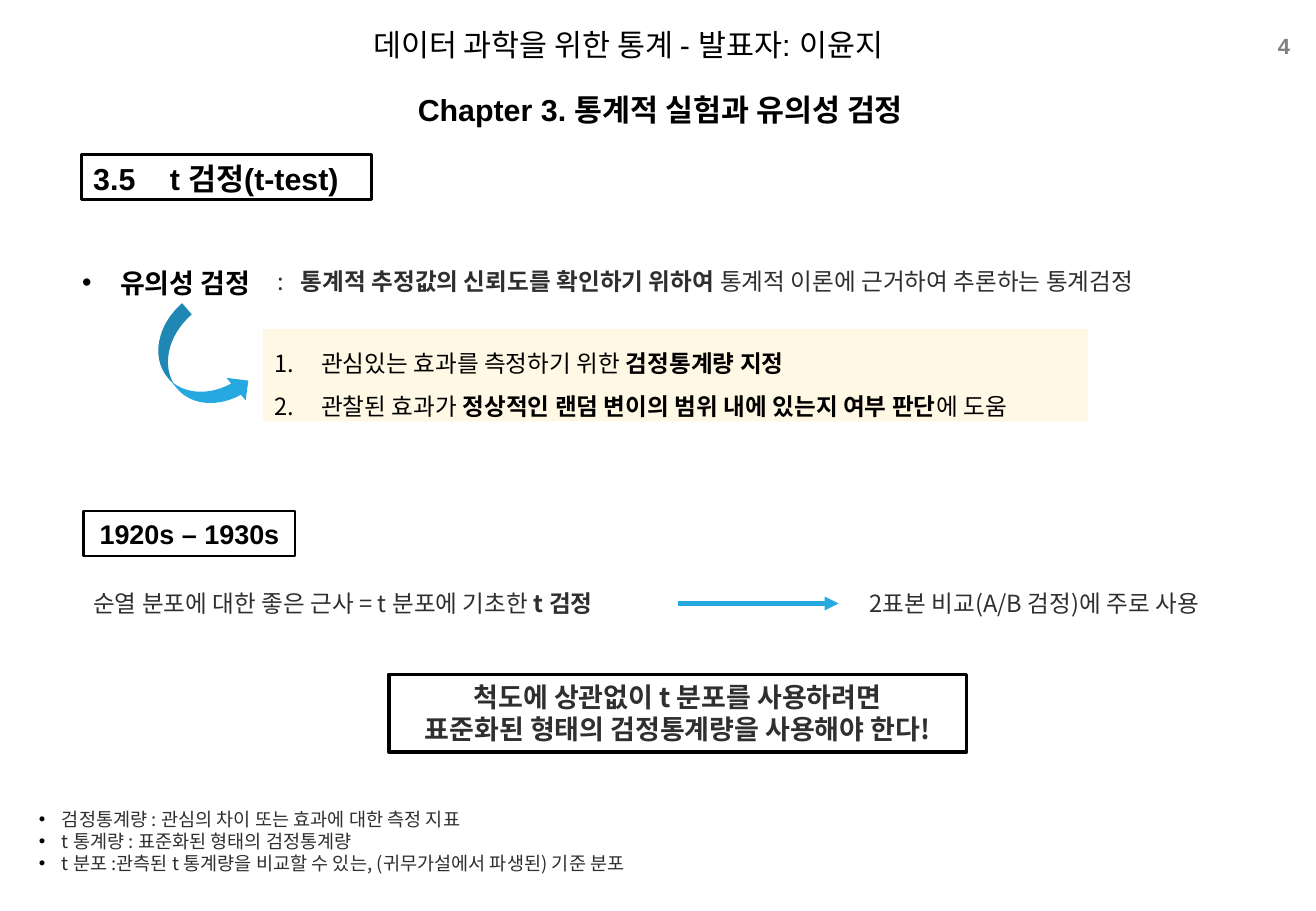
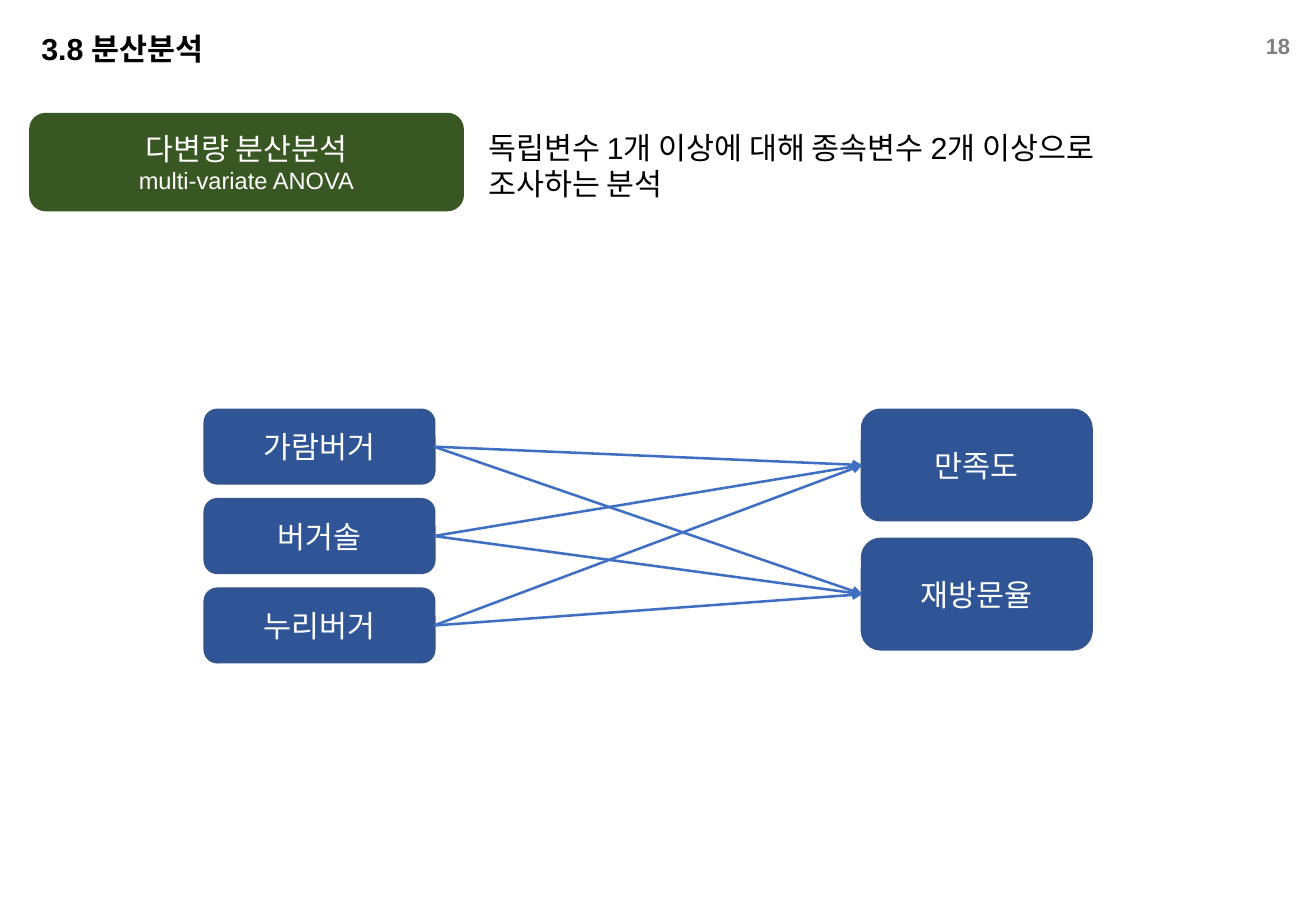
"""Build two statistics slides: the t-test and multivariate ANOVA."""
import itertools
import typing

import pptx
import pptx.dml.color
import pptx.enum.shapes
import pptx.enum.text
import pptx.oxml.ns
import pptx.util
from lxml import etree

Cm = pptx.util.Cm
Pt = pptx.util.Pt
SHAPE = pptx.enum.shapes.MSO_SHAPE
ALIGN = pptx.enum.text.PP_ALIGN
ANCHOR = pptx.enum.text.MSO_ANCHOR
qn = pptx.oxml.ns.qn

COLORS = {
    "black": "000000", "white": "FFFFFF", "ink": "2F2F2F", "page": "7F7F7F",
    "cream": "FFF2CC", "sky": "26A9E0", "node": "2F5597",
    "node_line": "325491", "link": "3F6FC3", "green": "385723",
}
ARIAL = "Arial"
NOTO = "Noto Sans CJK KR"


class Box(typing.NamedTuple):
    """A rectangle in centimetres."""
    left: float
    top: float
    width: float
    height: float

    def inner(self, dx, dy, width, height):
        """Return a box offset from this one's corner."""
        return Box(self.left + dx, self.top + dy, width, height)

    def lengths(self):
        """Return the four lengths for python-pptx."""
        return [Cm(value) for value in self]


def rgb(name):
    """Look up a palette colour."""
    return pptx.dml.color.RGBColor.from_string(COLORS[name])


def add_ppr(paragraph, tag, **attributes):
    """Append one element to the paragraph properties."""
    return etree.SubElement(paragraph._p.get_or_add_pPr(), qn(tag), **attributes)


def set_bullet(paragraph, bullet, indent):
    """Give a paragraph a hanging bullet, or a number if bullet is '1.'."""
    properties = paragraph._p.get_or_add_pPr()
    properties.set("marL", str(Cm(indent)))
    properties.set("indent", str(-Cm(indent)))
    color = add_ppr(paragraph, "a:buClr")
    etree.SubElement(color, qn("a:srgbClr"), val=COLORS["black"])
    add_ppr(paragraph, "a:buFont", typeface=ARIAL)
    if bullet == "1.":
        add_ppr(paragraph, "a:buAutoNum", type="arabicPeriod")
    else:
        add_ppr(paragraph, "a:buChar", char=bullet)


def write(shape, lines, sizes, font=ARIAL, color="black", bold=False,
          align=ALIGN.LEFT, anchor=ANCHOR.TOP, bullet=None, indent=0,
          tab=None, spacing=None):
    """Fill a shape with lines, where **marks** enclose bold words."""
    frame = shape.text_frame
    frame.word_wrap = True
    frame.auto_size = pptx.enum.text.MSO_AUTO_SIZE.NONE
    frame.vertical_anchor = anchor
    frame.text = "\n".join(line.split("**")[0] for line in lines)
    for paragraph, line, size in zip(frame.paragraphs, lines, itertools.cycle(sizes)):
        paragraph.alignment = align
        paragraph.space_before = Pt(0)
        if spacing:
            paragraph.line_spacing = spacing
        if bullet:
            set_bullet(paragraph, bullet, indent)
        if tab:
            stops = add_ppr(paragraph, "a:tabLst")
            etree.SubElement(stops, qn("a:tab"), pos=str(Cm(tab)), algn="l")
        for part in line.split("**")[1:]:
            paragraph.add_run().text = part
        for index, run in enumerate(paragraph.runs):
            run.font.size = Pt(size)
            run.font.bold = bold or index % 2 == 1
            run.font.color.rgb = rgb(color)
            run.font.name = font
            etree.SubElement(run.font._element, qn("a:ea"), typeface=NOTO)


def add_text(slide, box, lines, sizes, **style):
    """Add a text box."""
    label = slide.shapes.add_textbox(*box.lengths())
    write(label, lines, sizes, **style)
    return label


def place(placeholder, box, lines, sizes, **style):
    """Move a placeholder and fill it."""
    (placeholder.left, placeholder.top,
     placeholder.width, placeholder.height) = box.lengths()
    write(placeholder, lines, sizes, **style)


def add_panel(slide, preset, box, fill=None, line=None, width=0):
    """Add a flat preset shape."""
    panel = slide.shapes.add_shape(preset, *box.lengths())
    panel.shadow.inherit = False
    if fill:
        panel.fill.solid()
        panel.fill.fore_color.rgb = rgb(fill)
    else:
        panel.fill.background()
    if line:
        panel.line.color.rgb = rgb(line)
        panel.line.width = Pt(width)
    else:
        panel.line.fill.background()
    return panel


def add_framed(slide, box, lines, sizes, width, **style):
    """Add bold text in a black frame."""
    frame = add_panel(slide, SHAPE.RECTANGLE, box, line="black", width=width)
    write(frame, lines, sizes, bold=True, **style)


def add_arrow(slide, start, end, color, width):
    """Add a straight arrow between two points in EMU."""
    arrow = slide.shapes.add_connector(
        pptx.enum.shapes.MSO_CONNECTOR.STRAIGHT, *start, *end)
    arrow.line.color.rgb = rgb(color)
    arrow.line.width = Pt(width)
    properties = arrow._element.spPr
    etree.SubElement(properties.find(qn("a:ln")), qn("a:tailEnd"), type="triangle")
    etree.SubElement(properties, qn("a:effectLst"))
    return arrow


def start_slide(deck, layout, page, title, title_box, align):
    """Add a slide with its title and page number."""
    slide = deck.slides.add_slide(deck.slide_layouts[layout])
    place(slide.shapes.title, title_box, [title], [18], bold=True, align=align)
    number = add_text(slide, Box(25.7, 0.56, 1.47, 0.81), [page], [13], color="page",
                      bold=True, align=ALIGN.RIGHT, anchor=ANCHOR.MIDDLE)
    frame = number.text_frame
    frame.margin_left = frame.margin_right = Cm(0.2)
    frame.margin_top = frame.margin_bottom = Cm(0.1)
    return slide


def add_concept(slide, steps, box):
    """Define significance testing and lead to its two steps."""
    add_text(slide, box.inner(0, 0, 4.42, 0.94), ["유의성 검정"], [16],
             bold=True, bullet="•", indent=0.79)
    place(steps, box.inner(4.02, 1.44, 17.25, 1.93),
          ["관심있는 효과를 측정하기 위한 **검정통계량 지정",
           "관찰된 효과가 **정상적인 랜덤 변이의 범위 내에 있는지 여부 판단**에 도움"],
          [14], bullet="1.", indent=0.97, spacing=1.5)
    steps.fill.solid()
    steps.fill.fore_color.rgb = rgb("cream")
    cream = steps._element.spPr.find(".//" + qn("a:srgbClr"))
    etree.SubElement(cream, qn("a:alpha"), val="50000")
    add_text(slide, box.inner(4.09, 0.02, 20.04, 0.86),
             [":\t**통계적 추정값의 신뢰도를 확인하기 위하여** 통계적 이론에 근거하여 추론하는 통계검정"],
             [14], font=NOTO, color="ink", tab=0.48)
    swoop = add_panel(slide, SHAPE.CURVED_RIGHT_ARROW,
                      box.inner(2.04, 1.01, 1.24, 2.44), fill="sky")
    swoop.rotation = 319.5


def add_history(slide, box):
    """Show the origin of the t-test, its use and the conclusion."""
    body = {"font": NOTO, "color": "ink"}
    add_framed(slide, box.inner(0.05, 0, 4.42, 0.94), ["1920s – 1930s"], [16], 1.5,
               align=ALIGN.CENTER)
    add_text(slide, box.inner(0, 1.5, 12.07, 0.86),
             ["순열 분포에 대한 좋은 근사 = t 분포에 기초한 **t 검정"], [14], **body)
    add_text(slide, box.inner(16.23, 1.5, 8.71, 0.86),
             ["2표본 비교(A/B 검정)에 주로 사용"], [14], **body)
    middle = Cm(box.top + 1.93)
    add_arrow(slide, (Cm(box.left + 12.47), middle), (Cm(box.left + 15.83), middle),
              "sky", 2.75)
    add_framed(slide, box.inner(6.43, 3.41, 12.07, 1.63),
               ["척도에 상관없이 t 분포를 사용하려면",
                "표준화된 형태의 검정통계량을 사용해야 한다!"],
               [16], 2, align=ALIGN.CENTER, **body)


def build_t_test(deck):
    """Build the t-test slide."""
    slide = start_slide(deck, 3, "4", "Chapter 3. 통계적 실험과 유의성 검정",
                        Box(0.61, 1.78, 26.39, 1.02), ALIGN.CENTER)
    steps, terms = list(slide.placeholders)[1:3]
    add_text(slide, Box(0.76, 0.43, 24.74, 2.31),
             ["데이터 과학을 위한 통계 - 발표자: 이윤지"], [18], align=ALIGN.CENTER)
    add_framed(slide, Box(1.7, 3.23, 6.07, 0.94), ["3.5\tt 검정(t-test)"], [18], 1.75,
               tab=1.6)
    add_concept(slide, steps, Box(1.47, 5.44, 24.13, 3.45))
    add_history(slide, Box(1.7, 10.69, 24.94, 5.04))
    place(terms, Box(0.56, 16.76, 16.03, 1.68),
          ["검정통계량 : 관심의 차이 또는 효과에 대한 측정 지표",
           "t 통계량 : 표준화된 형태의 검정통계량",
           "t 분포 :관측된 t 통계량을 비교할 수 있는, (귀무가설에서 파생된) 기준 분포"],
          [11], font=NOTO, color="ink", bullet="•", indent=0.48)


def add_definition(slide, box):
    """Name multivariate ANOVA and explain it."""
    name = add_panel(slide, SHAPE.ROUNDED_RECTANGLE, box.inner(0, 0, 9.09, 2.06),
                     fill="green")
    write(name, ["다변량 분산분석", "multi-variate ANOVA"], [18, 14], color="white",
          align=ALIGN.CENTER, anchor=ANCHOR.MIDDLE)
    add_text(slide, box.inner(9.35, 0.21, 14.5, 1.8),
             ["독립변수 1개 이상에 대해 종속변수 2개 이상으로 조사하는 분석"], [18])


def add_nodes(slide, box, names, pitch):
    """Stack rounded nodes of the box's size at an equal pitch."""
    nodes = []
    for row, name in enumerate(names):
        node = add_panel(slide, SHAPE.ROUNDED_RECTANGLE,
                         box.inner(0, row * pitch, box.width, box.height),
                         fill="node", line="node_line", width=2)
        write(node, [name], [18], color="white", align=ALIGN.CENTER,
              anchor=ANCHOR.MIDDLE)
        nodes.append(node)
    return nodes


def add_network(slide, box):
    """Link every factor level to every outcome."""
    factors = add_nodes(slide, box.inner(0, 0, 4.78, 1.52),
                        ["가람버거", "버거솔", "누리버거"], 1.87)
    outcomes = add_nodes(slide, box.inner(box.width - 4.78, 0, 4.78, 2.29),
                         ["만족도", "재방문율"], 2.7)
    for outcome, factor in itertools.product(outcomes, factors):
        link = add_arrow(slide, (0, 0), (0, 0), "link", 1.5)
        link.begin_connect(factor, 3)
        link.end_connect(outcome, 1)


def build_manova(deck):
    """Build the multivariate ANOVA slide."""
    slide = start_slide(deck, 5, "18", "3.8 분산분석",
                        Box(0.61, 0.51, 14.58, 1.02), ALIGN.LEFT)
    add_definition(slide, Box(0.61, 2.36, 23.85, 2.06))
    add_network(slide, Box(4.29, 8.58, 18.52, 5.26))


def main():
    """Build and save the deck."""
    deck = pptx.Presentation()
    deck.slide_width, deck.slide_height = Cm(27.51), Cm(19.05)
    build_t_test(deck)
    build_manova(deck)
    deck.save("out.pptx")


if __name__ == "__main__":
    main()
